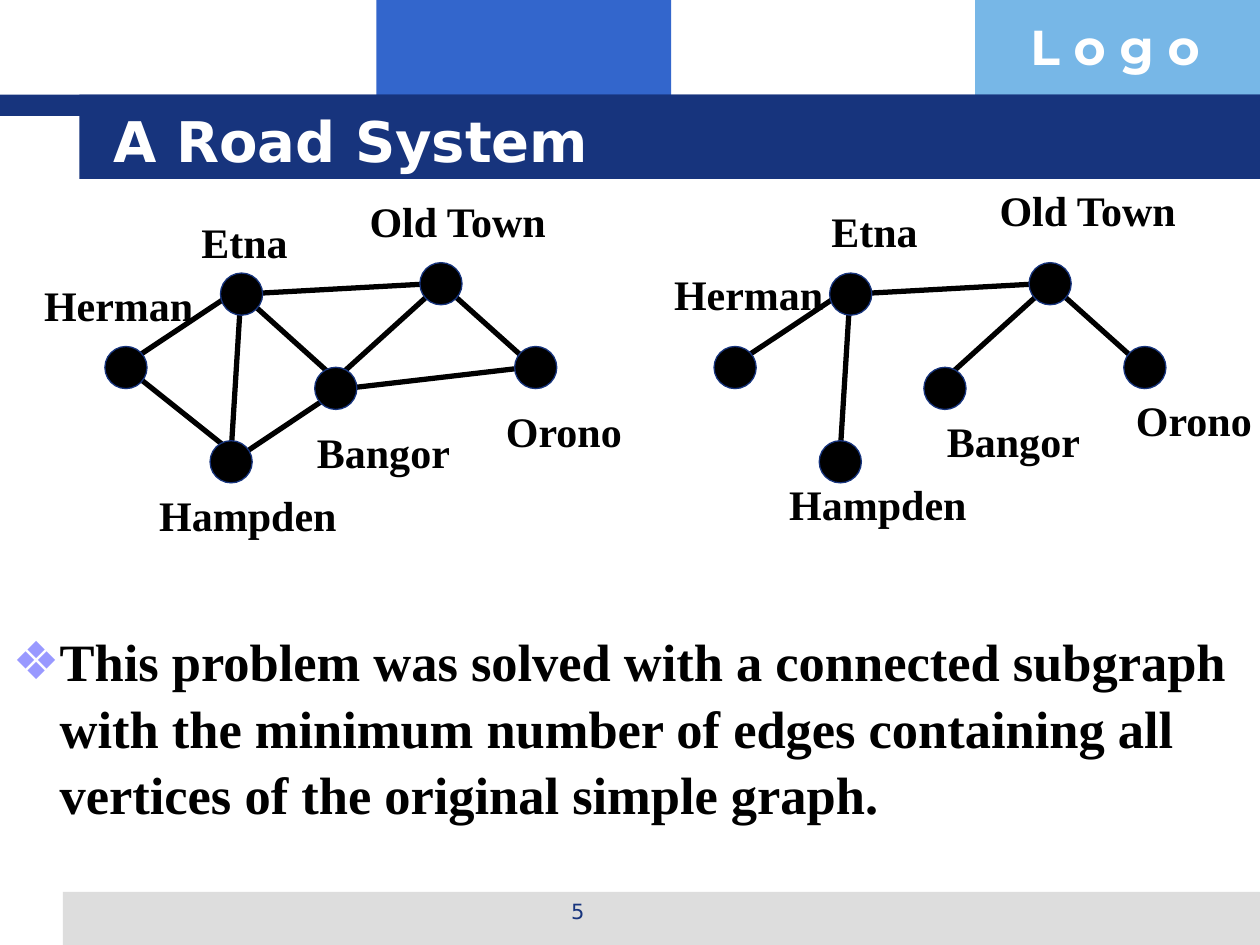
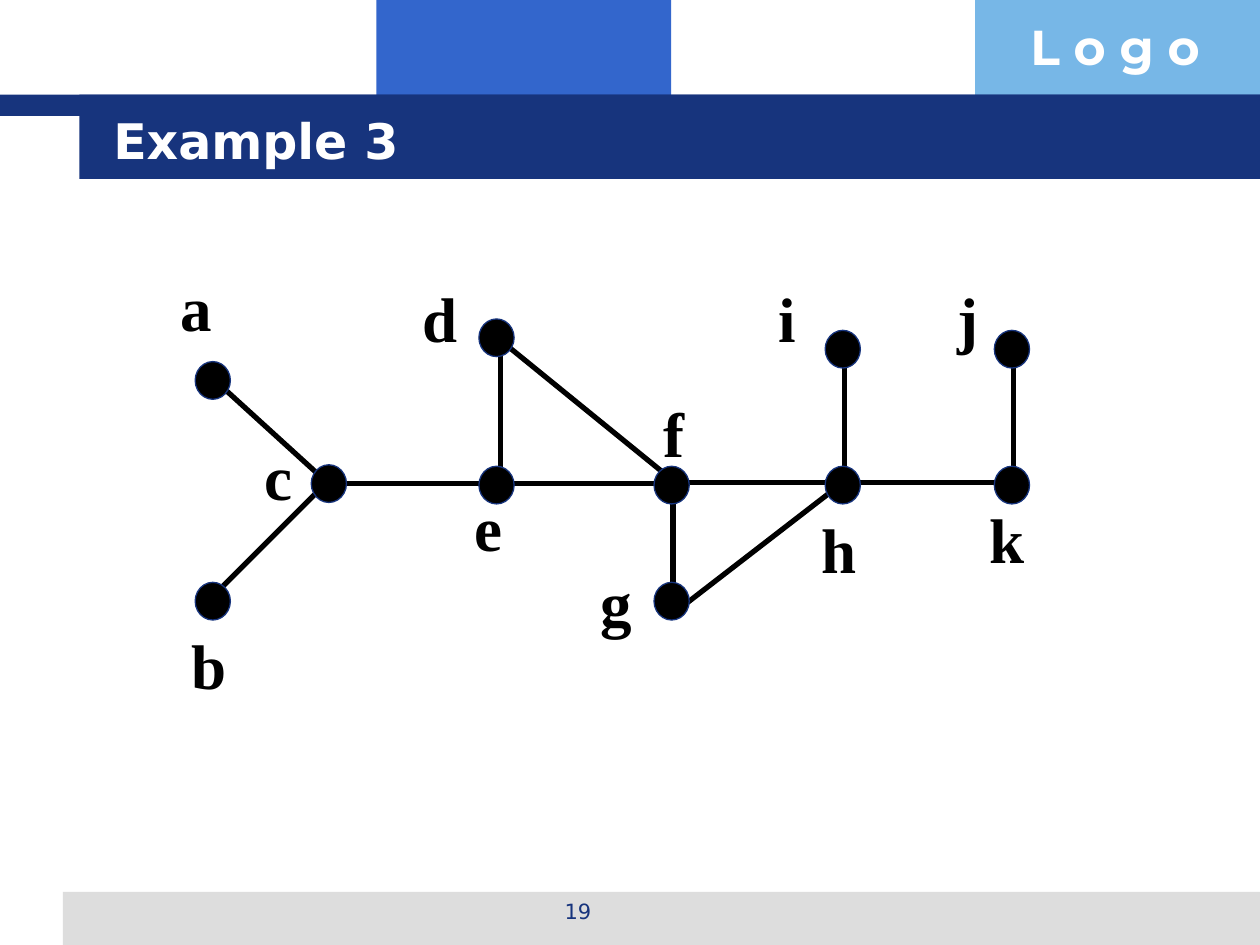
from dataclasses import dataclass, field
from typing import Any, NamedTuple

import lxml.etree
import pptx
import pptx.dml.color
import pptx.enum.shapes
import pptx.enum.text
import pptx.oxml.ns
import pptx.util

Cm = pptx.util.Cm
Pt = pptx.util.Pt
Color = pptx.dml.color.RGBColor
Align = pptx.enum.text.PP_ALIGN
Anchor = pptx.enum.text.MSO_ANCHOR
AutoSize = pptx.enum.text.MSO_AUTO_SIZE
Preset = pptx.enum.shapes.MSO_SHAPE
Point = tuple[float, float]


@dataclass(frozen=True)
class Theme:
    navy: Color = Color.from_string("17347D")
    blue: Color = Color.from_string("3366CC")
    sky: Color = Color.from_string("77B7E7")
    grey: Color = Color.from_string("DDDDDD")
    lilac: str = "9999FF"
    white: Color = Color.from_string("FFFFFF")
    black: Color = Color.from_string("000000")
    sans: str = "DejaVu Sans"
    serif: str = "Times New Roman"
    display: str = "Montserrat"
    road_title: int = 32
    example_title: int = 28
    logo: int = 28
    number: int = 12
    body: int = 30
    town: int = 24
    letter: int = 36
    outline: float = 0.75
    edge: int = 3


THEME = Theme()


class Box(NamedTuple):
    left: float
    top: float
    width: float
    height: float

    def lengths(self) -> list[int]:
        return [Cm(value) for value in self]


class Band(NamedTuple):
    box: Box
    color: Color


class Label(NamedTuple):
    text: str
    box: Box


class Edge(NamedTuple):
    start: str
    end: str
    start_shift: Point = (0, 0)
    end_shift: Point = (0, 0)


@dataclass(frozen=True)
class Style:
    size: int
    name: str = THEME.serif
    color: Color = THEME.black
    bold: bool = True
    frame: dict[str, Any] = field(default_factory=dict)
    paragraph: dict[str, Any] = field(default_factory=dict)


@dataclass(frozen=True)
class Graph:
    nodes: dict[str, Point]
    edges: list[Edge]
    node_size: Point
    labels: list[Label]
    label_style: Style


BANDS = [
    Band(Box(7.59, 0, 5.94, 2.34), THEME.blue),
    Band(Box(19.66, 0, 5.74, 2.34), THEME.sky),
    Band(Box(1.27, 17.98, 24.13, 1.07), THEME.grey),
    Band(Box(0, 1.91, 25.4, 0.43), THEME.navy),
    Band(Box(1.6, 1.91, 23.8, 1.7), THEME.navy),
]
LOGO = Label("L o g o", Box(20.52, 0.2, 4.9, 1.45))
TITLE_BOX = Box(2.03, 2.03, 21.67, 1.57)
NUMBER_BOX = Box(8.69, 17.98, 5.92, 0.89)
BODY_BOX = Box(0, 12.5, 25.2, 5.51)

GROW = {"auto_size": AutoSize.SHAPE_TO_FIT_TEXT}
LOGO_STYLE = Style(THEME.logo, THEME.display, THEME.white, frame=GROW)
NUMBER_STYLE = Style(THEME.number, THEME.sans, THEME.navy, bold=False,
                     paragraph={"alignment": Align.CENTER})
BODY_STYLE = Style(THEME.body, frame={"vertical_anchor": Anchor.TOP},
                   paragraph={"line_spacing": 1.05})
TOWN_STYLE = Style(THEME.town, frame=GROW)
LETTER_STYLE = Style(THEME.letter)

BODY_TEXT = ("This problem was solved with a connected subgraph with the minimum "
             "number of edges containing all vertices of the original simple graph.")

TOWNS = {
    "Etna": (4.87, 5.93),
    "Herman": (2.54, 7.41),
    "Hampden": (4.66, 9.31),
    "Bangor": (6.77, 7.83),
    "Old Town": (8.89, 5.72),
    "Orono": (10.8, 7.41),
}
TREE_ROADS = [
    Edge("Etna", "Herman", (-0.21, 0), (0.21, -0.21)),
    Edge("Orono", "Old Town", (0.21, 0.21)),
    Edge("Etna", "Hampden", (0, -0.21), (0, -0.21)),
    Edge("Old Town", "Etna", (-0.21, 0)),
    Edge("Old Town", "Bangor", (0, 0), (-0.21, 0)),
]
OTHER_ROADS = [
    Edge("Hampden", "Herman", (0, -0.21)),
    Edge("Bangor", "Hampden", (-0.21, 0.21)),
    Edge("Orono", "Bangor", (-0.21, 0), (0.21, 0)),
    Edge("Bangor", "Etna", (0.21, 0)),
]
TOWN_LABELS = [
    Label("Etna", Box(3.81, 4.23, 2.54, 1.27)),
    Label("Herman", Box(0.64, 5.5, 3.81, 1.27)),
    Label("Hampden", Box(2.96, 9.74, 4.23, 1.27)),
    Label("Bangor", Box(6.14, 8.47, 3.6, 1.27)),
    Label("Old Town", Box(7.2, 3.81, 4.45, 1.27)),
    Label("Orono", Box(9.95, 8.04, 3.18, 1.27)),
]
TREE_SHIFT = 12.28
TREE_LABEL_SHIFT = (12.7, -0.21)

ROAD_GRAPH = Graph(TOWNS, TREE_ROADS + OTHER_ROADS, (0.85, 0.85), TOWN_LABELS, TOWN_STYLE)
ROAD_TREE = Graph(
    {town: (x + TREE_SHIFT, y) for town, (x, y) in TOWNS.items()},
    TREE_ROADS,
    (0.85, 0.85),
    [Label(text, box._replace(left=box.left + TREE_LABEL_SHIFT[0],
                              top=box.top + TREE_LABEL_SHIFT[1]))
     for text, box in TOWN_LABELS],
    TOWN_STYLE,
)

LETTER_CORNERS = {
    "a": (3.38, 5.28), "b": (3.61, 12.5), "c": (5.08, 8.69), "d": (8.26, 5.51),
    "e": (9.32, 9.73), "f": (13.13, 7.82), "g": (11.86, 11.23), "i": (15.44, 5.51),
    "j": (19.05, 5.51), "h": (16.31, 10.16), "k": (19.69, 9.96),
}
EXAMPLE_GRAPH = Graph(
    {
        "a": (4.29, 7.67), "b": (4.29, 12.12), "c": (6.63, 9.75),
        "d": (10.01, 6.81), "e": (10.01, 9.78),
        "f": (13.54, 9.78), "g": (13.54, 12.12),
        "h": (16.99, 9.78), "i": (16.99, 7.04),
        "j": (20.4, 7.04), "k": (20.4, 9.78),
    },
    [
        Edge("c", "e", (0, 0), (0, -0.03)),
        Edge("a", "c", (0.08, 0.03), (0.08, 0.08)),
        Edge("b", "c", (0.08, -0.18), (0.08, -0.15)),
        Edge("d", "e", (0.08, 0.05), (0.08, 0.05)),
        Edge("e", "f", (0.08, -0.03), (-0.08, -0.03)),
        Edge("f", "h", (-0.05, -0.05), (-0.13, -0.05)),
        Edge("h", "k", (0.08, -0.05), (0.05, -0.05)),
        Edge("f", "g", (0.03, -0.38), (0.03, 0.25)),
        Edge("i", "h", (0.03, -0.18), (0.03, 0.05)),
        Edge("j", "k", (0.03, -0.18), (0.03, 0.05)),
        Edge("d", "f", (0.08, 0.05), (-0.08, -0.18)),
        Edge("h", "g", (-0.13, 0.05), (0.03, 0.25)),
    ],
    (0.71, 0.76),
    [Label(letter, Box(x, y, 1.27, 1.7)) for letter, (x, y) in LETTER_CORNERS.items()],
    LETTER_STYLE,
)


def apply_format(target: Any, values: dict[str, Any]) -> None:
    for name, value in values.items():
        setattr(target, name, value)


def place(shape: Any, box: Box) -> None:
    apply_format(shape, dict(zip(("left", "top", "width", "height"), box.lengths())))


def write_text(shape: Any, text: str, style: Style) -> None:
    frame = shape.text_frame
    apply_format(frame, {"word_wrap": True, "auto_size": AutoSize.NONE} | style.frame)
    paragraph = frame.paragraphs[0]
    paragraph.text = text
    apply_format(paragraph, {"alignment": Align.LEFT, "space_before": Pt(0)} | style.paragraph)
    font = paragraph.runs[0].font
    apply_format(font, {"size": Pt(style.size), "name": style.name, "bold": style.bold})
    font.color.rgb = style.color


def add_label(slide: Any, label: Label, style: Style) -> None:
    write_text(slide.shapes.add_textbox(*label.box.lengths()), label.text, style)


def add_filled(slide: Any, preset: Any, box: Box, color: Color) -> Any:
    shape = slide.shapes.add_shape(preset, *box.lengths())
    shape.shadow.inherit = False
    shape.fill.solid()
    shape.fill.fore_color.rgb = color
    shape.line.fill.background()
    return shape


def add_node(slide: Any, center: Point, size: Point) -> None:
    (x, y), (width, height) = center, size
    box = Box(x - width / 2, y - height / 2, width, height)
    node = add_filled(slide, Preset.OVAL, box, THEME.black)
    node.line.color.rgb = THEME.navy
    node.line.width = Pt(THEME.outline)


def add_edge(slide: Any, edge: Edge, nodes: dict[str, Point]) -> None:
    ends = ((nodes[edge.start], edge.start_shift), (nodes[edge.end], edge.end_shift))
    lengths = [Cm(value + shift) for point, move in ends for value, shift in zip(point, move)]
    connector = slide.shapes.add_connector(pptx.enum.shapes.MSO_CONNECTOR.STRAIGHT, *lengths)
    connector.line.color.rgb = THEME.black
    connector.line.width = Pt(THEME.edge)
    lxml.etree.SubElement(connector._element.spPr, pptx.oxml.ns.qn("a:effectLst"))


def add_graph(slide: Any, graph: Graph) -> None:
    for edge in graph.edges:
        add_edge(slide, edge, graph.nodes)
    for center in graph.nodes.values():
        add_node(slide, center, graph.node_size)
    for label in graph.labels:
        add_label(slide, label, graph.label_style)


def add_bullet(paragraph: Any) -> None:
    properties = paragraph._p.get_or_add_pPr()
    properties.set("marL", str(Cm(0.95)))
    properties.set("indent", str(-Cm(0.95)))
    qn = pptx.oxml.ns.qn
    color = lxml.etree.SubElement(properties, qn("a:buClr"))
    lxml.etree.SubElement(color, qn("a:srgbClr"), val=THEME.lilac)
    lxml.etree.SubElement(properties, qn("a:buFont"), typeface=THEME.sans)
    lxml.etree.SubElement(properties, qn("a:buChar"), char="❖")


def add_slide(presentation: Any, layout: int, title: str, title_size: int, number: int) -> Any:
    slide = presentation.slides.add_slide(presentation.slide_layouts[layout])
    for band in BANDS:
        add_filled(slide, Preset.RECTANGLE, band.box, band.color)
    add_label(slide, LOGO, LOGO_STYLE)
    add_label(slide, Label(str(number), NUMBER_BOX), NUMBER_STYLE)
    heading = slide.shapes.title
    slide.shapes._spTree.append(heading._element)
    place(heading, TITLE_BOX)
    write_text(heading, title, Style(title_size, THEME.sans, THEME.white,
                                     frame={"vertical_anchor": Anchor.MIDDLE}))
    return slide


def add_road_slide(presentation: Any) -> None:
    slide = add_slide(presentation, 1, "A Road System", THEME.road_title, 5)
    body = slide.placeholders[1]
    place(body, BODY_BOX)
    add_bullet(body.text_frame.paragraphs[0])
    write_text(body, BODY_TEXT, BODY_STYLE)
    for graph in (ROAD_GRAPH, ROAD_TREE):
        add_graph(slide, graph)


def add_example_slide(presentation: Any) -> None:
    slide = add_slide(presentation, 5, "Example 3", THEME.example_title, 19)
    add_graph(slide, EXAMPLE_GRAPH)


def main() -> None:
    presentation = pptx.Presentation()
    apply_format(presentation, {"slide_width": Cm(25.4), "slide_height": Cm(19.05)})
    add_road_slide(presentation)
    add_example_slide(presentation)
    presentation.save("out.pptx")


if __name__ == "__main__":
    main()
